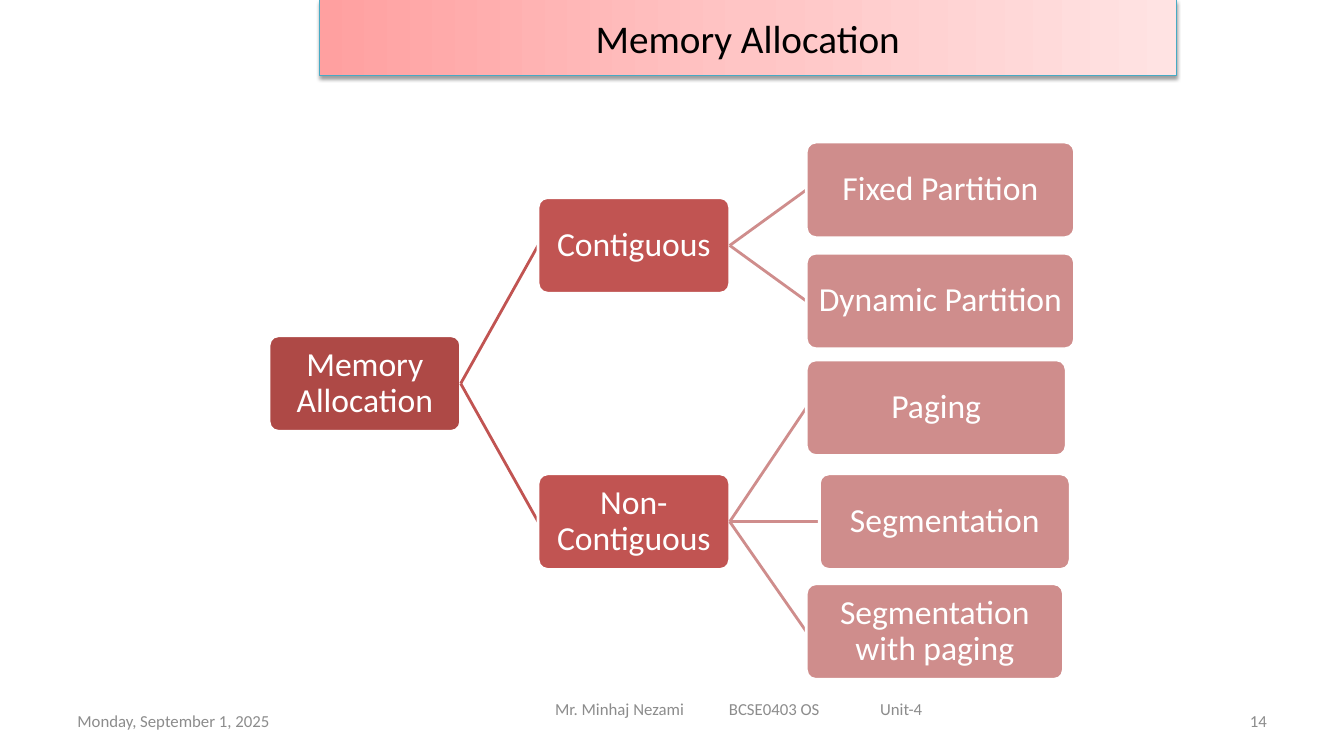
from lxml.etree import SubElement
from pptx import Presentation
from pptx.dml.color import RGBColor
from pptx.enum.shapes import MSO_CONNECTOR, MSO_SHAPE
from pptx.enum.text import MSO_ANCHOR, PP_ALIGN
from pptx.oxml.ns import qn
from pptx.util import Cm, Pt

# Content
TITLE = "Memory Allocation"
DATE = "Monday, September 1, 2025"
COURSE = ("Mr. Minhaj Nezami", "BCSE0403 OS", "Unit-4")
PAGE = "14"

# Leaves: text, left, top, width in cm
CONTIGUOUS = [
    ("Fixed Partition", 20.32, 3.58, 6.76),
    ("Dynamic Partition", 20.32, 6.38, 6.76),
]
NON_CONTIGUOUS = [
    ("Paging", 20.32, 9.07, 6.55),
    ("Segmentation", 20.65, 11.94, 6.32),
    ("Segmentation with paging", 20.32, 14.71, 6.48),
]
BRANCHES = [("Contiguous", CONTIGUOUS), ("Non-Contiguous", NON_CONTIGUOUS)]

COLORS = {
    "root": "AE4946", "branch": "C15452", "leaf": "CF8D8C",
    "white": "FFFFFF", "black": "000000", "footer": "8C8C8C",
    "title_line": "46AAC5",
}
TITLE_STOPS = [(0, "FFA0A0"), (50, "FFC5C5"), (100, "FFE3E3")]
FONT = "Calibri"

# Layout in cm
ROOT_LEFT, BRANCH_LEFT = 6.78, 13.56
PARENT_WIDTH, NODE_HEIGHT = 4.83, 2.41
NODE_INSET = 0.13
FOOTER_HEIGHT = 1.02
COURSE_INSET, COURSE_TABS = 1.92, (4.38, 8.19)
LEFT_SITE, RIGHT_SITE = 1, 3

prs = Presentation()
prs.slide_width, prs.slide_height = Cm(33.87), Cm(19.05)
slide = prs.slides.add_slide(prs.slide_layouts[6])
shapes = slide.shapes


def color(name):
    return RGBColor.from_string(COLORS[name])


def write(shape, text, size, ink, align):
    frame = shape.text_frame
    frame.word_wrap = True
    frame.vertical_anchor = MSO_ANCHOR.MIDDLE
    paragraph = frame.paragraphs[0]
    paragraph.alignment = align
    run = paragraph.add_run()
    run.text = text
    run.font.name, run.font.size = FONT, Pt(size)
    run.font.color.rgb = color(ink)
    return paragraph


def add_footer(text, left, top, width, align):
    box = shapes.add_textbox(Cm(left), Cm(top), Cm(width), Cm(FOOTER_HEIGHT))
    return box, write(box, text, 12, "footer", align)


def add_node(text, left, top, width, level):
    node = shapes.add_shape(MSO_SHAPE.ROUNDED_RECTANGLE, Cm(left), Cm(top),
                            Cm(width), Cm(NODE_HEIGHT))
    node.adjustments[0] = 0.1
    node.shadow.inherit = False
    node.fill.solid()
    node.fill.fore_color.rgb = color(level)
    node.line.color.rgb = color("white")
    node.line.width = Pt(2)
    frame = node.text_frame
    frame.margin_left = frame.margin_right = Cm(NODE_INSET)
    frame.margin_top = frame.margin_bottom = Cm(NODE_INSET)
    write(node, text, 24, "white", PP_ALIGN.CENTER).line_spacing = 0.9
    return node


def add_child(parent, text, left, top, width, level):
    # The link lies behind the child box and is glued to both
    link = shapes.add_connector(MSO_CONNECTOR.STRAIGHT, 0, 0, 0, 0)
    link.line.color.rgb = color(level)
    link.line.width = Pt(2)
    SubElement(link._element.spPr, qn("a:effectLst"))
    child = add_node(text, left, top, width, level)
    link.begin_connect(parent, RIGHT_SITE)
    link.end_connect(child, LEFT_SITE)
    return child


def middle(tops):
    ordered = sorted(tops)
    half = len(ordered) // 2
    return (ordered[half] + ordered[-half - 1]) / 2


# Footer
add_footer(DATE, 1.7, 17.65, 7.9, PP_ALIGN.LEFT)
course, course_line = add_footer("\t".join(COURSE), 12.07, 17.35, 13.13,
                                 PP_ALIGN.LEFT)
course.text_frame.margin_left = Cm(COURSE_INSET)
tab_list = SubElement(course_line._p.get_or_add_pPr(), qn("a:tabLst"))
for stop in COURSE_TABS:
    SubElement(tab_list, qn("a:tab"), pos=str(Cm(stop)), algn="l")
add_footer(PAGE, 24.28, 17.65, 7.9, PP_ALIGN.RIGHT)

# Title bar with gradient and soft shadow
title = shapes.add_shape(MSO_SHAPE.RECTANGLE, Cm(8.05), Cm(0), Cm(21.59), Cm(1.91))
title.fill.gradient()
title.fill.gradient_angle = 0
title_props = title._element.spPr
stop_list = title_props.find(qn("a:gradFill")).find(qn("a:gsLst"))
for old_stop in list(stop_list):
    stop_list.remove(old_stop)
for position, shade in TITLE_STOPS:
    stop = SubElement(stop_list, qn("a:gs"), pos=str(position * 1000))
    SubElement(stop, qn("a:srgbClr"), val=shade)
title.line.color.rgb = color("title_line")
title.line.width = Pt(0.75)
title.shadow.inherit = False
shadow = SubElement(title_props.find(qn("a:effectLst")), qn("a:outerShdw"),
                    blurRad=str(Pt(3.1)), dist=str(Pt(1.6)),
                    dir="5400000", rotWithShape="0")
shadow_color = SubElement(shadow, qn("a:srgbClr"), val=COLORS["black"])
SubElement(shadow_color, qn("a:alpha"), val="38000")
write(title, TITLE, 28, "black", PP_ALIGN.CENTER)

# Tree: each parent is centred on its children
branch_tops = [middle([top for _, _, top, _ in leaves]) for _, leaves in BRANCHES]
root = add_node(TITLE, ROOT_LEFT, middle(branch_tops), PARENT_WIDTH, "root")
for (name, leaves), branch_top in zip(BRANCHES, branch_tops):
    branch = add_child(root, name, BRANCH_LEFT, branch_top, PARENT_WIDTH, "branch")
    for leaf in leaves:
        add_child(branch, *leaf, "leaf")

prs.save("out.pptx")
